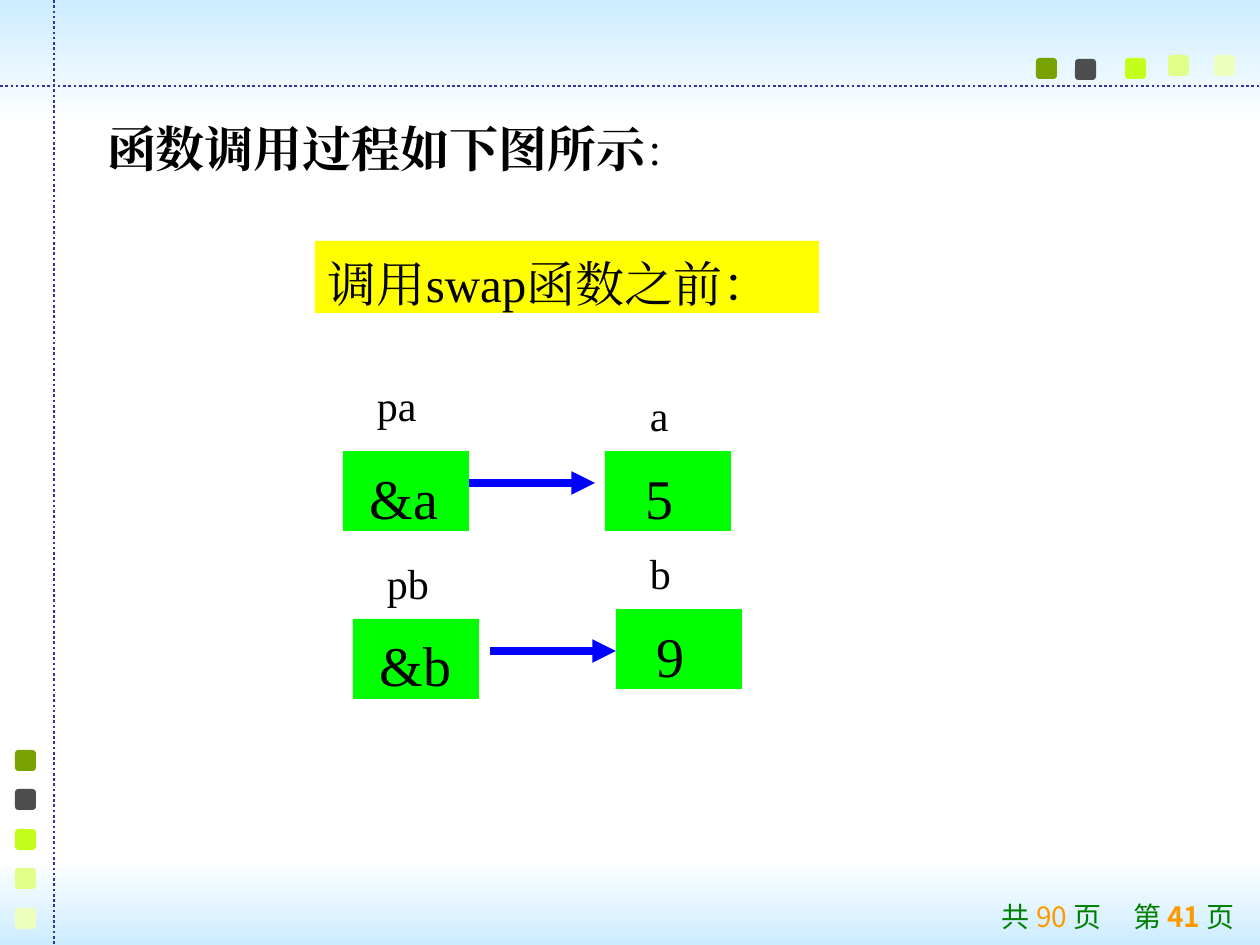
from dataclasses import dataclass

from lxml.etree import SubElement
from pptx import Presentation
from pptx.dml.color import RGBColor as RGB
from pptx.enum.dml import MSO_LINE
from pptx.enum.shapes import MSO_CONNECTOR as CONN, MSO_SHAPE as SHAPE
from pptx.enum.text import MSO_ANCHOR as ANCHOR, MSO_AUTO_SIZE as AUTO, PP_ALIGN as ALIGN
from pptx.oxml.ns import qn
from pptx.util import Pt

W, H = 1260, 945
SCALE = 914400 / 126


@dataclass(frozen=True)
class Theme:
    serif: str = "Times New Roman"
    sans: str = "Noto Sans CJK SC"
    ink: str = "000000"
    sky: str = "CCECFF"
    white: str = "FFFFFF"
    rule: str = "333399"
    banner: str = "FFFF00"
    cell: str = "00FF00"
    arrow: str = "0000FF"
    page: str = "008000"
    number: str = "FF9900"
    dots: tuple = ("78A200", "4D4D4D", "C3FF1B", "E0FF87", "EEFFBD")
    heading: int = 28
    value: int = 32
    label: int = 24
    footer: int = 16


T = Theme()


def px(*values):
    return [round(v * SCALE) for v in values]


def add_rect(shapes, box, color, kind=SHAPE.RECTANGLE):
    sp = shapes.add_shape(kind, *px(*box))
    sp.shadow.inherit = False
    sp.line.fill.background()
    sp.fill.solid()
    sp.fill.fore_color.rgb = RGB.from_string(color)
    return sp


def add_line(shapes, ends, color, width):
    cn = shapes.add_connector(CONN.STRAIGHT, *px(*ends))
    cn.line.color.rgb = RGB.from_string(color)
    cn.line.width = Pt(width)
    SubElement(cn.element.spPr, qn("a:effectLst"))
    return cn


def set_frame(sp, left=13, top=12, anchor=ANCHOR.TOP):
    tf = sp.text_frame
    ml, mt, mr, mb = px(left, top, 0, 0)
    fmt = dict(word_wrap=True, auto_size=AUTO.NONE, vertical_anchor=anchor,
               margin_left=ml, margin_top=mt, margin_right=mr, margin_bottom=mb)
    for name, value in fmt.items():
        setattr(tf, name, value)
    p = tf.paragraphs[0]
    p.alignment = ALIGN.LEFT
    return p


def add_run(p, text, size, color=T.ink, face=T.serif, bold=False):
    r = p.add_run()
    r.text = text
    for name, value in dict(name=face, size=Pt(size), bold=bold).items():
        setattr(r.font, name, value)
    r.font.color.rgb = RGB.from_string(color)
    SubElement(r.font._element, qn("a:ea"), typeface=face)


def draw_background(shapes):
    # Fading bands at the top and bottom
    for box, stops in (((0, 0, W, 125), (T.sky, T.white)),
                       ((0, 859, W, H - 859), (T.white, T.sky))):
        band = add_rect(shapes, box, T.sky)
        band.fill.gradient()
        band.fill.gradient_angle = 270
        for stop, color in zip(band.fill.gradient_stops, stops):
            stop.color.rgb = RGB.from_string(color)

    # Dotted rules
    for ends in ((0, 86, W, 86), (54, 0, 54, H)):
        add_line(shapes, ends, T.rule, 1.5).line.dash_style = MSO_LINE.ROUND_DOT

    # Rows of dots: scattered along the top, evenly spaced down the side
    top = ((1036, 58), (1075, 59), (1125, 58), (1168, 55), (1214, 55))
    side = [(15, 750 + i * 79 // 2) for i in range(len(T.dots))]
    for row in (top, side):
        for (x, y), color in zip(row, T.dots):
            add_rect(shapes, (x, y, 21, 21), color, SHAPE.ROUNDED_RECTANGLE)


def draw_footer(shapes, x, y, w, h):
    sp = shapes.add_textbox(*px(x, y, w, h))
    p = set_frame(sp, 73, 6, ANCHOR.MIDDLE)
    sp.text_frame.margin_bottom = px(6)[0]
    tabs = SubElement(p._p.get_or_add_pPr(), qn("a:tabLst"))
    SubElement(tabs, qn("a:tab"), pos=str(px(131)[0]), algn="l")
    for text, color, bold in (("共 ", T.page, False), ("90 ", T.number, False),
                              ("页\t第 ", T.page, False), ("41 ", T.number, True),
                              ("页", T.page, False)):
        add_run(p, text, T.footer, color, T.sans, bold)


def draw_title(title, x, y, w, h):
    title.left, title.top, title.width, title.height = px(x, y, w, h)
    title.element.getparent().append(title.element)  # in front of the bands
    p = set_frame(title)
    add_run(p, "函数调用过程如下图所示", T.heading, bold=True)
    add_run(p, "：", T.label)


def draw_banner(shapes, x, y, w, h):
    p = set_frame(add_rect(shapes, (x, y, w, h), T.banner))
    add_run(p, "调用swap函数之前：", T.heading)


def draw_variable(shapes, x, y, name, value, name_at, indents):
    """A value cell with its name above; name_at is relative to the cell."""
    group = shapes.add_group_shape().shapes
    dx, dy = name_at
    cell = add_rect(group, (x, y, 126, 80), T.cell)
    label = group.add_textbox(*px(x + dx, y + dy, 126, 63))
    for sp, text, size, indent in ((label, name, T.label, indents[0]),
                                   (cell, value, T.value, indents[1])):
        add_run(set_frame(sp, 13 + indent), text, size)


def draw_pointers(shapes, x, y):
    # Variables: offset, name, value, name offset, text indents
    for dx, dy, *parts in ((0, 0, "pa", "&a", (21, -83), (0, 14)),
                           (262, 0, "a", "5", (0, -73), (32, 28)),
                           (10, 168, "pb", "&b", (0, -73), (21, 14)),
                           (273, 158, "b", "9", (0, -73), (21, 28))):
        draw_variable(shapes, x + dx, y + dy, *parts)

    # Arrows from each pointer to its target
    for dx, dy in ((126, 32), (147, 200)):
        cn = add_line(shapes, (x + dx, y + dy, x + dx + 126, y + dy), T.arrow, 4.5)
        SubElement(cn.line._get_or_add_ln(), qn("a:tailEnd"), type="triangle")


def main():
    prs = Presentation()
    prs.slide_width, prs.slide_height = px(W, H)
    slide = prs.slides.add_slide(prs.slide_layouts[5])
    shapes = slide.shapes
    draw_background(shapes)
    draw_footer(shapes, 929, 893, 331, 46)
    draw_title(shapes.title, 94, 106, 998, 72)
    draw_banner(shapes, 315, 241, 504, 72)
    draw_pointers(shapes, 343, 451)
    prs.save("out.pptx")


if __name__ == "__main__":
    main()
